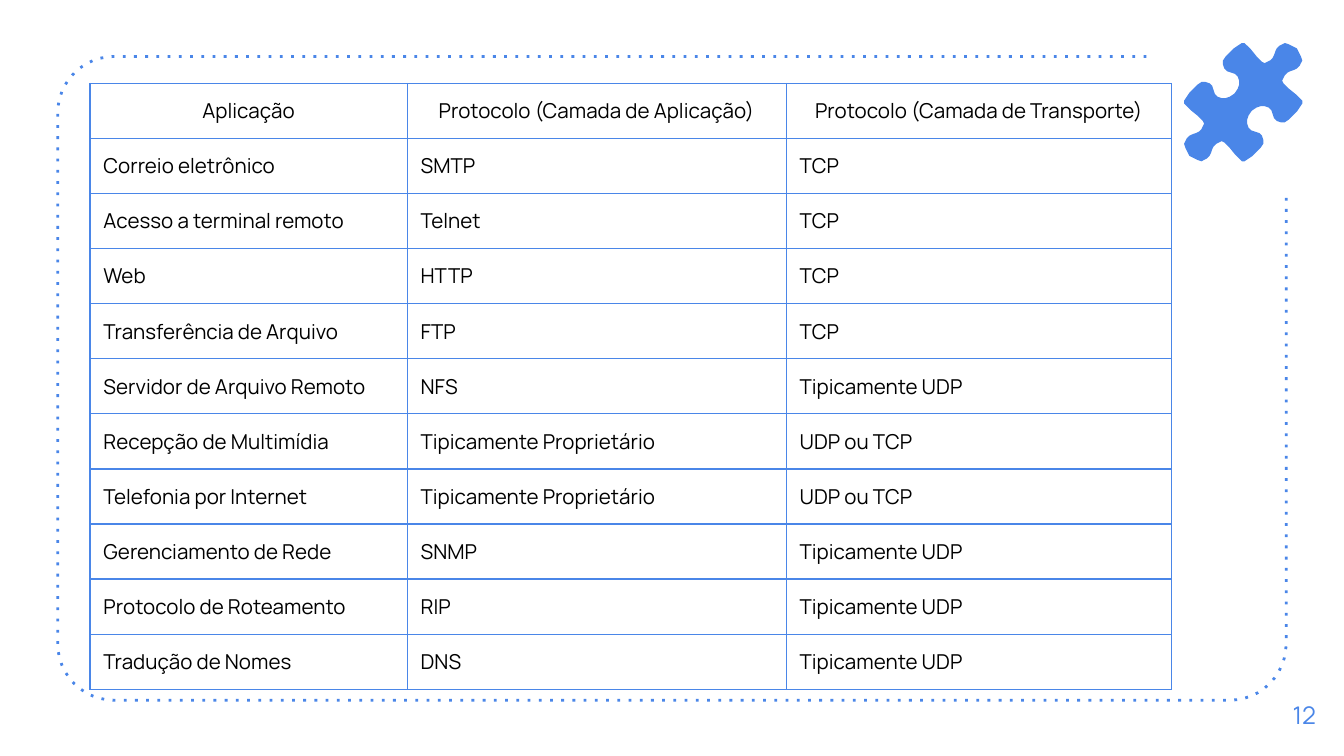
import math
from dataclasses import dataclass

import lxml.etree
import pptx
import pptx.dml.color
import pptx.enum.text
import pptx.oxml.ns
import pptx.util

Inches = pptx.util.Inches
Pt = pptx.util.Pt
qn = pptx.oxml.ns.qn
ALIGN = pptx.enum.text.PP_ALIGN


@dataclass(frozen=True)
class Theme:
    accent: str = "4A86E8"
    text: str = "000000"
    font: str = "Manrope"
    table_size: float = 11
    number_size: float = 13
    frame_width: float = 1.5
    border_width: float = 0.75
    inset: float = 0.1


THEME = Theme()

COLUMN_WIDTHS = [2.36, 2.82, 2.87]
ROW_HEIGHT = 0.41
PROTOCOLS = [
    ("Aplicação", "Protocolo (Camada de Aplicação)", "Protocolo (Camada de Transporte)"),
    ("Correio eletrônico", "SMTP", "TCP"),
    ("Acesso a terminal remoto", "Telnet", "TCP"),
    ("Web", "HTTP", "TCP"),
    ("Transferência de Arquivo", "FTP", "TCP"),
    ("Servidor de Arquivo Remoto", "NFS", "Tipicamente UDP"),
    ("Recepção de Multimídia", "Tipicamente Proprietário", "UDP ou TCP"),
    ("Telefonia por Internet", "Tipicamente Proprietário", "UDP ou TCP"),
    ("Gerenciamento de Rede", "SNMP", "Tipicamente UDP"),
    ("Protocolo de Roteamento", "RIP", "Tipicamente UDP"),
    ("Tradução de Nomes", "DNS", "Tipicamente UDP"),
]

PUZZLE_CENTER = (9.25, 0.76)
PUZZLE_QUARTER = [
    (0.4, -0.4), (0.38, -0.41), (0.36, -0.42), (0.34, -0.43), (0.31, -0.44),
    (0.29, -0.43), (0.27, -0.42), (0.25, -0.4), (0.24, -0.38), (0.23, -0.35),
    (0.22, -0.33), (0.2, -0.31), (0.18, -0.3), (0.16, -0.29), (0.14, -0.3),
    (0.12, -0.32), (0.1, -0.34), (0.06, -0.39), (0.03, -0.42), (0.01, -0.44),
    (-0.01, -0.44), (-0.04, -0.42), (-0.07, -0.4), (-0.1, -0.37), (-0.13, -0.34),
    (-0.15, -0.31), (-0.15, -0.28), (-0.14, -0.25), (-0.12, -0.23), (-0.09, -0.22),
    (-0.06, -0.21), (-0.04, -0.19), (-0.03, -0.16), (-0.03, -0.13), (-0.04, -0.1),
    (-0.06, -0.07),
]


def color(value):
    return pptx.dml.color.RGBColor.from_string(value)


def write_text(frame, text, size, fill=THEME.text, align=ALIGN.LEFT):
    paragraph = frame.paragraphs[0]
    paragraph.alignment = align
    run = paragraph.add_run()
    run.text = text
    run.font.name = THEME.font
    run.font.size = Pt(size)
    run.font.bold = False
    run.font.color.rgb = color(fill)


def set_margins(target):
    for side in ("left", "top", "right", "bottom"):
        setattr(target, f"margin_{side}", Inches(THEME.inset))


def add_outline(slide, points, close):
    points = [(Inches(x), Inches(y)) for x, y in points]
    builder = slide.shapes.build_freeform(*points[0])
    builder.add_line_segments(points[1:], close=close)
    shape = builder.convert_to_shape()
    shape.shadow.inherit = False
    return shape


def corner(x, y, radius, start):
    angles = [math.radians(start - step * 90 / 12) for step in range(13)]
    return [(x + radius * math.cos(a), y + radius * math.sin(a)) for a in angles]


def add_dotted_frame(slide):
    left, top, right, bottom, radius = 0.43, 0.42, 9.57, 5.21, 0.42
    points = [(8.53, top)]
    points += corner(left + radius, top + radius, radius, 270)
    points += corner(left + radius, bottom - radius, radius, 180)
    points += corner(right - radius, bottom - radius, radius, 90)
    points.append((right, 1.46))
    shape = add_outline(slide, points, close=False)
    shape.fill.background()
    shape.line.width = Pt(THEME.frame_width)
    shape.line.color.rgb = color(THEME.accent)
    line = shape.element.spPr.find(qn("a:ln"))
    lxml.etree.SubElement(line, qn("a:prstDash"), val="dot")


def add_puzzle_piece(slide):
    half = PUZZLE_QUARTER + [(y, x) for x, y in reversed(PUZZLE_QUARTER)]
    offsets = half + [(-x, -y) for x, y in half]
    center_x, center_y = PUZZLE_CENTER
    points = [(center_x + x, center_y + y) for x, y in offsets]
    shape = add_outline(slide, points, close=True)
    shape.fill.solid()
    shape.fill.fore_color.rgb = color(THEME.accent)
    shape.line.fill.background()


def add_page_number(slide, number):
    box = slide.shapes.add_textbox(Inches(9.41), Inches(5.02), Inches(0.59), Inches(0.6))
    frame = box.text_frame
    frame.word_wrap = True
    frame.vertical_anchor = pptx.enum.text.MSO_ANCHOR.MIDDLE
    set_margins(frame)
    write_text(frame, number, size=THEME.number_size, fill=THEME.accent, align=ALIGN.CENTER)


def add_borders(cell):
    properties = cell._tc.get_or_add_tcPr()
    for index, side in enumerate(("lnL", "lnR", "lnT", "lnB")):
        line = lxml.etree.Element(qn(f"a:{side}"), w=str(Pt(THEME.border_width)))
        fill = lxml.etree.SubElement(line, qn("a:solidFill"))
        lxml.etree.SubElement(fill, qn("a:srgbClr"), val=THEME.accent)
        properties.insert(index, line)


def add_protocol_table(slide):
    table = slide.shapes.add_table(
        len(PROTOCOLS), len(COLUMN_WIDTHS), Inches(0.67), Inches(0.62),
        Inches(sum(COLUMN_WIDTHS)), Inches(ROW_HEIGHT * len(PROTOCOLS)),
    ).table
    table.first_row = False
    table.horz_banding = False
    for column, width in zip(table.columns, COLUMN_WIDTHS):
        column.width = Inches(width)
    for row_index, values in enumerate(PROTOCOLS):
        table.rows[row_index].height = Inches(ROW_HEIGHT)
        align = ALIGN.CENTER if row_index == 0 else ALIGN.LEFT
        for column_index, value in enumerate(values):
            cell = table.cell(row_index, column_index)
            cell.fill.background()
            set_margins(cell)
            add_borders(cell)
            write_text(cell.text_frame, value, size=THEME.table_size, align=align)


def main():
    presentation = pptx.Presentation()
    presentation.slide_width = Inches(10)
    presentation.slide_height = Inches(10 * 9 / 16)
    slide = presentation.slides.add_slide(presentation.slide_layouts[6])
    add_dotted_frame(slide)
    add_page_number(slide, "12")
    add_puzzle_piece(slide)
    add_protocol_table(slide)
    presentation.save("out.pptx")


if __name__ == "__main__":
    main()
